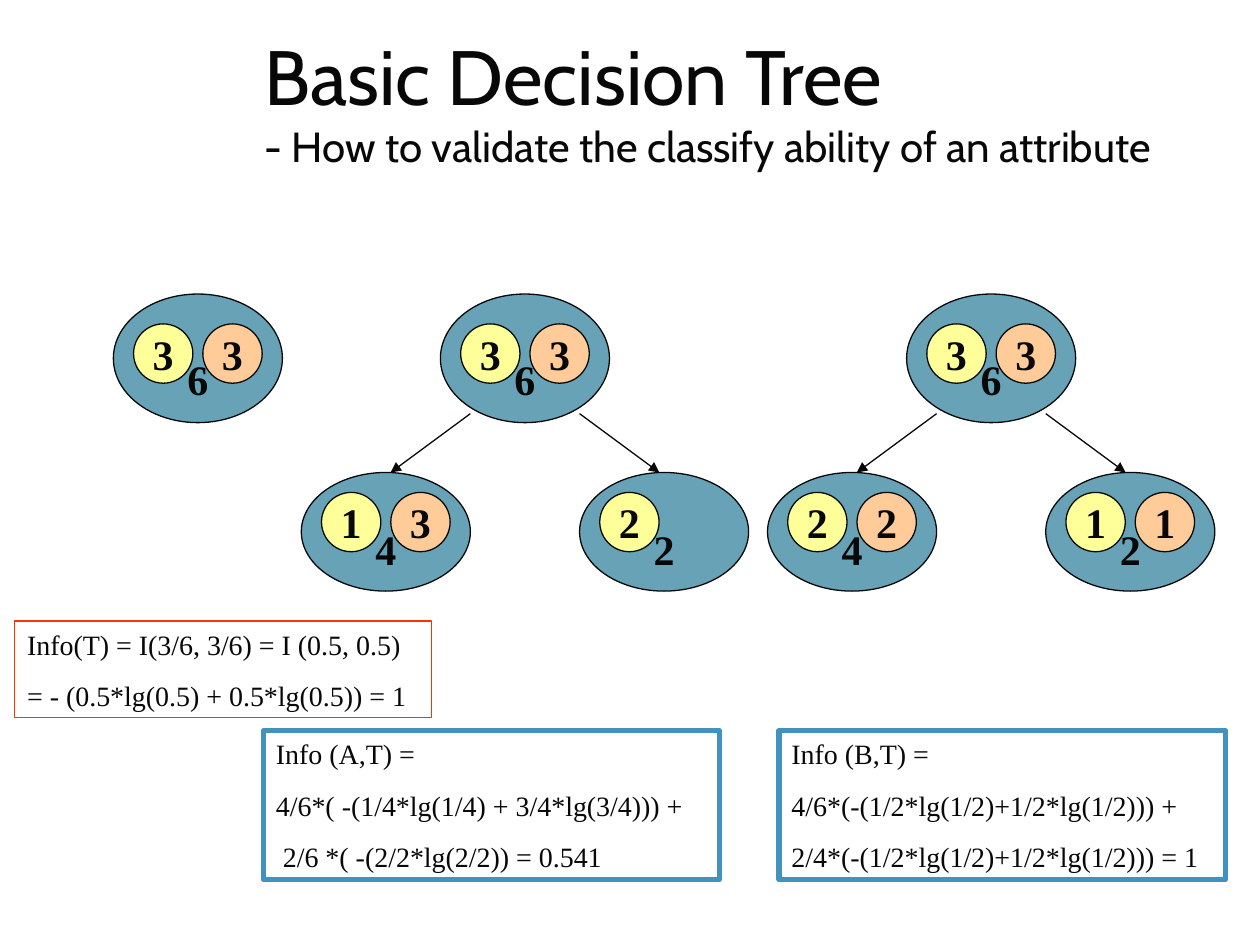
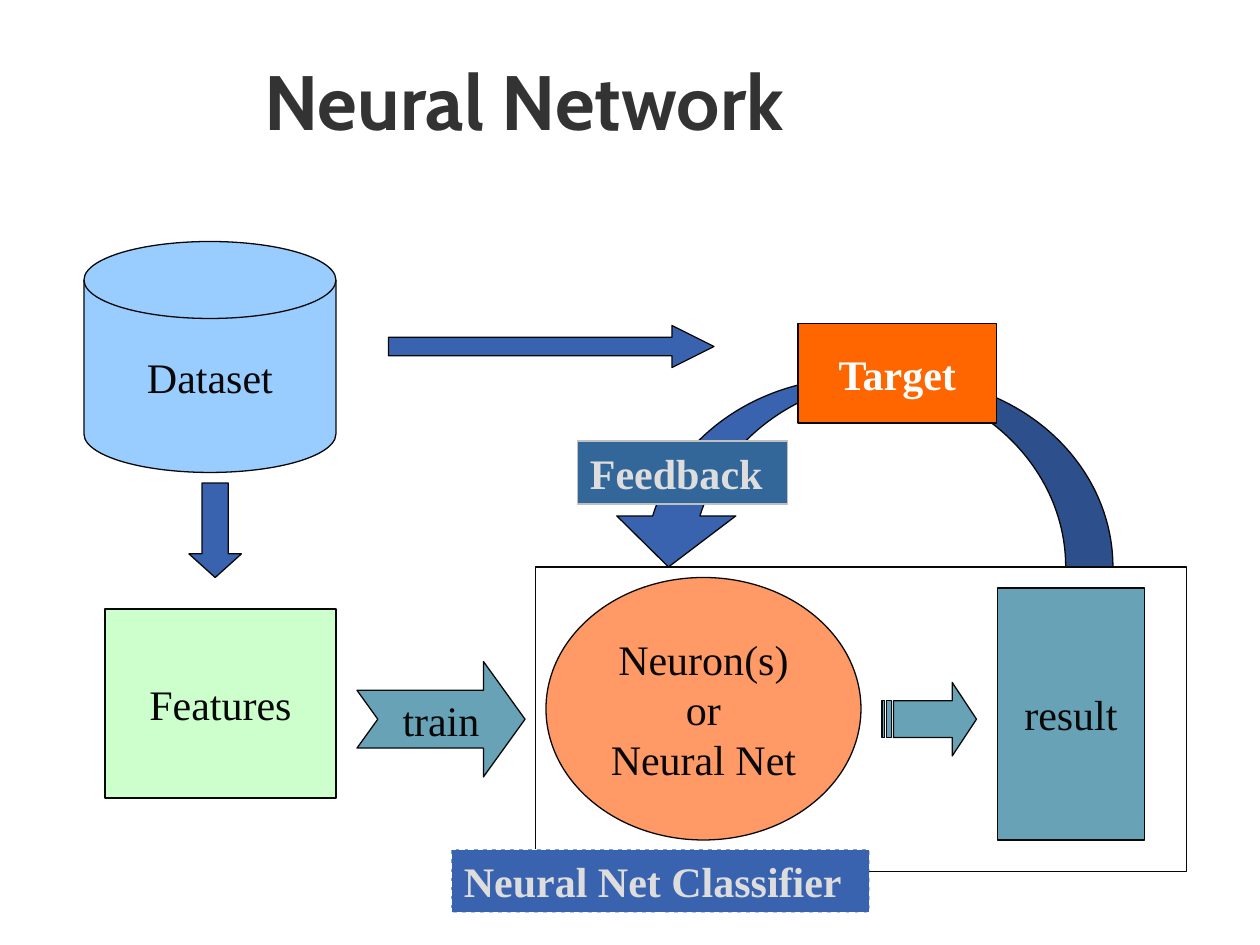
from dataclasses import dataclass

from lxml import etree
from pptx import Presentation
from pptx.dml.color import RGBColor
from pptx.enum.dml import MSO_LINE
from pptx.enum.shapes import MSO_CONNECTOR, MSO_SHAPE
from pptx.enum.text import MSO_ANCHOR, MSO_AUTO_SIZE, PP_ALIGN
from pptx.oxml.ns import qn
from pptx.util import Inches, Pt

OVAL, RECT = MSO_SHAPE.OVAL, MSO_SHAPE.RECTANGLE
TOP, MIDDLE, BOTTOM = MSO_ANCHOR.TOP, MSO_ANCHOR.MIDDLE, MSO_ANCHOR.BOTTOM
LEFT, CENTER = PP_ALIGN.LEFT, PP_ALIGN.CENTER


@dataclass(frozen=True)
class Theme:
    head_font: str = "Cabin"
    body_font: str = "Times New Roman"
    title: int = 44
    label: int = 24
    formula: int = 16
    hairline: float = 0.75
    frame: int = 3
    ink: str = "080808"
    heading: str = "333333"
    teal: str = "68A2B6"
    yellow: str = "FFFF99"
    peach: str = "FFCC99"
    red: str = "FF3300"
    sky: str = "4192BF"
    salmon: str = "FF9966"
    pale_blue: str = "99CCFF"
    mint: str = "CCFFCC"
    blue: str = "3963AF"
    orange: str = "FF6600"
    steel: str = "336699"
    silver: str = "C0C0C0"
    pale: str = "DDDDDD"
    white: str = "FFFFFF"


T = Theme()
rgb = RGBColor.from_string

prs = Presentation()
prs.slide_width, prs.slide_height = Inches(10), Inches(7.5)
CELL = prs.slide_width / 120  # square grid, 120 columns by 90 rows


def add_box(slide, kind, cells, fill=None, line=T.ink, width=T.hairline, lines=(),
            size=T.label, color=T.ink, bold=False, align=CENTER, anchor=MIDDLE):
    """Add a preset shape; cells holds left, top, width and height on the grid."""
    sp = slide.shapes.add_shape(kind, *(round(c * CELL) for c in cells))
    sp.shadow.inherit = False
    if fill:
        sp.fill.solid()
        sp.fill.fore_color.rgb = rgb(fill)
    else:
        sp.fill.background()
    sp.line.color.rgb = rgb(line)
    sp.line.width = Pt(width)
    if lines:
        tf = sp.text_frame
        tf.word_wrap = align == LEFT
        tf.vertical_anchor = anchor
        tf.text = "\n".join(lines)
        for p in tf.paragraphs:
            p.alignment = align
            p.font.name, p.font.size, p.font.bold = T.body_font, Pt(size), bold
            p.font.color.rgb = rgb(color)
    return sp


def add_titled_slide(color, parts, bold=False):
    """Add a slide whose title is made of (text, size) lines."""
    slide = prs.slides.add_slide(prs.slide_layouts[5])
    sp = slide.shapes.title
    sp.left, sp.top, sp.width, sp.height = (round(c * CELL) for c in (24, 2.5, 92.9, 14))
    tf = sp.text_frame
    tf.auto_size, tf.vertical_anchor = MSO_AUTO_SIZE.NONE, MIDDLE
    p = tf.paragraphs[0]
    p.alignment = LEFT
    p.font.name, p.font.bold = T.head_font, bold
    p.font.color.rgb = rgb(color)
    for i, (text, size) in enumerate(parts):
        if i:
            p.add_line_break()
        r = p.add_run()
        r.text, r.font.size = text, Pt(size)
    return slide


# Slide 1: decision tree
slide = add_titled_slide(T.ink, [
    ("Basic Decision Tree", T.title),
    ("- How to validate the classify ability of an attribute", T.label)])

NODE_W, DOT = 16.1, 5.65
ROOT_ROW, CHILD_ROW = 28, 45
CHILD_SHIFT = 13.25
# Each node: total, then the counts of its two classes
trees = [
    (18.85, (6, 3, 3), []),
    (50, (6, 3, 3), [(4, 1, 3), (2, 2, None)]),
    (94.4, (6, 3, 3), [(4, 2, 2), (2, 1, 1)]),
]
for root_x, root, children in trees:
    nodes = [(root_x, ROOT_ROW, 12.25, 2.85, root)]
    for side, child in zip((-1, 1), children):
        nodes.append((root_x + side * CHILD_SHIFT, CHILD_ROW, 11.3, 1.9, child))
        c = slide.shapes.add_connector(
            MSO_CONNECTOR.STRAIGHT,
            round((root_x + side * 5.2) * CELL), round(39.4 * CELL),
            round((root_x + side * 12.8) * CELL), round(CHILD_ROW * CELL))
        c.line.color.rgb, c.line.width = rgb(T.ink), Pt(T.hairline)
        etree.SubElement(c.line._get_or_add_ln(), qn("a:tailEnd"), type="triangle")
        etree.SubElement(c.element.spPr, qn("a:effectLst"))
    for x, row, height, dot_drop, (total, *counts) in nodes:
        sp = add_box(slide, OVAL, (x - NODE_W / 2, row, NODE_W, height), T.teal,
                     lines=[str(total)], bold=True, anchor=BOTTOM)
        sp.text_frame.margin_bottom = 0
        for side, fill, count in zip((-1, 1), (T.yellow, T.peach), counts):
            if count:
                add_box(slide, OVAL, (x + side * 3.3 - DOT / 2, row + dot_drop, DOT, DOT),
                        fill, lines=[str(count)], bold=True)

formulas = [
    ((1.4, 59.15, 39.7, 9.2), T.red, T.hairline,
     ["Info(T) = I(3/6, 3/6) = I (0.5, 0.5)",
      "= - (0.5*lg(0.5) + 0.5*lg(0.5)) = 1"]),
    ((25.1, 69.6, 43.4, 14.2), T.sky, T.frame,
     ["Info (A,T) =",
      "4/6*( -(1/4*lg(1/4) + 3/4*lg(3/4))) +",
      " 2/6 *( -(2/2*lg(2/2)) = 0.541"]),
    ((74.2, 69.6, 42.5, 14.2), T.sky, T.frame,
     ["Info (B,T) =",
      "4/6*(-(1/2*lg(1/2)+1/2*lg(1/2))) +",
      "2/4*(-(1/2*lg(1/2)+1/2*lg(1/2))) = 1"]),
]
for cells, line, width, lines in formulas:
    sp = add_box(slide, RECT, cells, line=line, width=width, lines=lines,
                 size=T.formula, align=LEFT, anchor=TOP)
    for p in sp.text_frame.paragraphs:
        p.space_before = Pt(10)

# Slide 2: neural network
slide = add_titled_slide(T.heading, [("Neural Network", T.title)], bold=True)

stages = [
    (OVAL, (52, 55, 30, 25), T.salmon, ["Neuron(s)", "or", "Neural Net"]),
    (MSO_SHAPE.FLOWCHART_MAGNETIC_DISK, (8, 23, 24, 22), T.pale_blue, ["Dataset"]),
    (RECT, (10, 58, 22, 18), T.mint, ["Features"]),
    (RECT, (95, 56, 14, 24), T.teal, ["result"]),
]
for kind, cells, fill, lines in stages:
    add_box(slide, kind, cells, fill, lines=lines)

arrows = [
    (MSO_SHAPE.DOWN_ARROW, (18, 46, 5, 9), T.blue, (0.5, 0.45), []),
    (MSO_SHAPE.RIGHT_ARROW, (37, 31, 31, 4), T.blue, (0.44, 1), []),
    (MSO_SHAPE.NOTCHED_RIGHT_ARROW, (34, 63, 16, 11), T.teal, (0.5, 0.36), ["train"]),
    (MSO_SHAPE.STRIPED_RIGHT_ARROW, (84, 65, 9, 7), T.teal, (0.5, 0.33), []),
    (MSO_SHAPE.CURVED_DOWN_ARROW, (58, 36, 48, 18), T.blue, (0.25, 0.63, 0.27), []),
]
for kind, cells, fill, adjustments, lines in arrows:
    sp = add_box(slide, kind, cells, fill, lines=lines)
    for i, value in enumerate(adjustments):
        sp.adjustments[i] = value
feedback_arrow = sp
feedback_arrow.element.spPr.find(qn("a:xfrm")).set("flipH", "1")

add_box(slide, RECT, (76, 30.8, 18.9, 9.5), T.orange, lines=["Target"],
        color=T.white, bold=True)
add_box(slide, RECT, (55, 42, 20, 6), T.steel, T.silver, lines=["Feedback"],
        color=T.pale, bold=True, align=LEFT, anchor=TOP)
add_box(slide, RECT, (51, 54, 62, 29))
classifier = add_box(slide, RECT, (43, 80.9, 39.8, 6), T.blue, T.white,
                     lines=["Neural Net Classifier"], color=T.pale, bold=True,
                     align=LEFT, anchor=TOP)
classifier.line.dash_style = MSO_LINE.DASH

prs.save("out.pptx")
